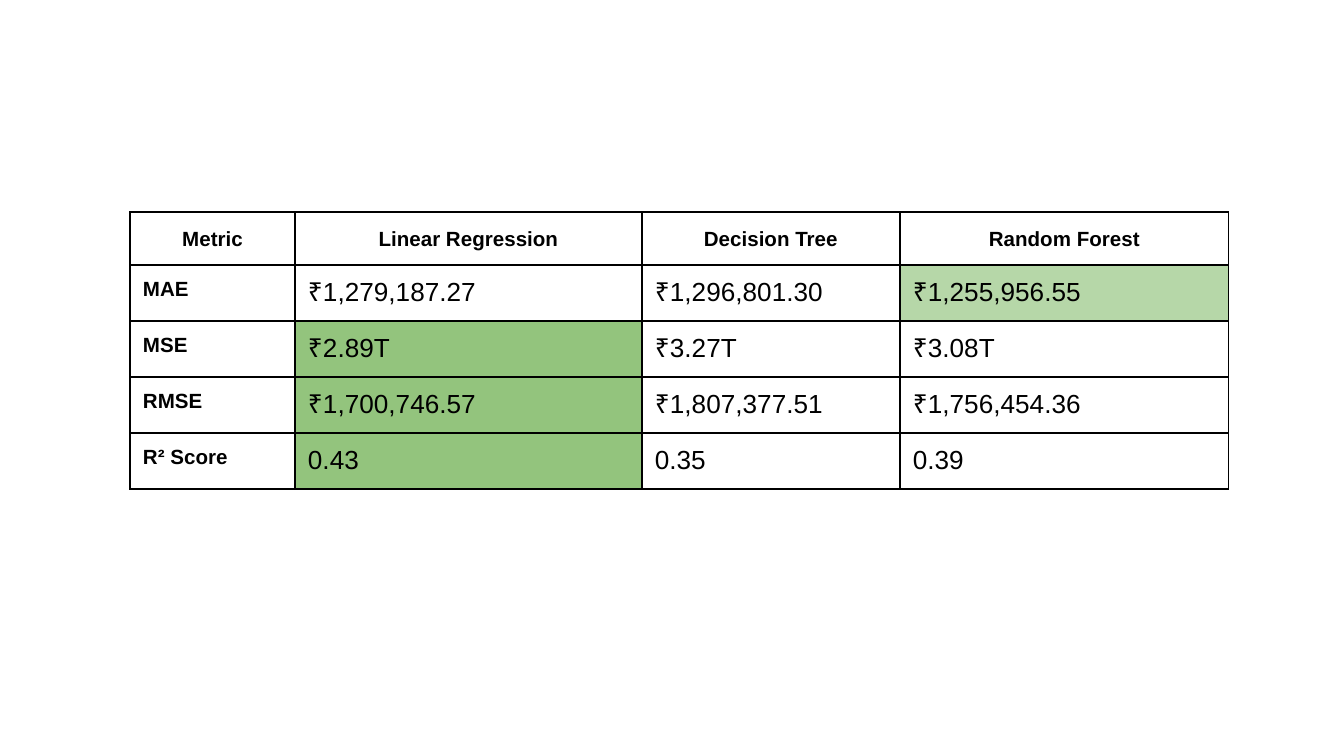
from lxml import etree
from pptx import Presentation
from pptx.dml.color import RGBColor
from pptx.enum.text import PP_ALIGN
from pptx.oxml.ns import qn
from pptx.util import Pt

CENTER, LEFT = PP_ALIGN.CENTER, PP_ALIGN.LEFT

SLIDE_WIDTH, SLIDE_HEIGHT = 1344, 756
EMU_PER_PX = 9144000 / SLIDE_WIDTH
BLANK_LAYOUT = 6

COLORS = {"ink": "000000", "best": "93C47D", "best_mae": "B6D7A8"}
FONT = "Arial"
CELL_MARGIN = 13
BORDER_WIDTH = Pt(0.75)

TABLE_LEFT, TABLE_TOP = 130, 212
COLUMN_WIDTHS = [165, 347, 258, 329]
ROW_HEIGHTS = [53, 56, 56, 56, 56]
METRICS = [
    ["Metric", "Linear Regression", "Decision Tree", "Random Forest"],
    ["MAE", "₹1,279,187.27", "₹1,296,801.30", "₹1,255,956.55"],
    ["MSE", "₹2.89T", "₹3.27T", "₹3.08T"],
    ["RMSE", "₹1,700,746.57", "₹1,807,377.51", "₹1,756,454.36"],
    ["R² Score", "0.43", "0.35", "0.39"],
]
# Best model for each metric, as (row, column)
HIGHLIGHTS = {(1, 3): "best_mae", (2, 1): "best", (3, 1): "best", (4, 1): "best"}


def px(length):
    return round(length * EMU_PER_PX)


def add_borders(cell):
    """Draw all four sides; called before the fill, which must follow them in the XML."""
    properties = cell._tc.get_or_add_tcPr()
    for side in ("a:lnL", "a:lnR", "a:lnT", "a:lnB"):
        line = etree.SubElement(properties, qn(side), w=str(BORDER_WIDTH))
        fill = etree.SubElement(line, qn("a:solidFill"))
        etree.SubElement(fill, qn("a:srgbClr"), val=COLORS["ink"])


def fill_cell(cell, color_name):
    if color_name:
        cell.fill.solid()
        cell.fill.fore_color.rgb = RGBColor.from_string(COLORS[color_name])
    else:
        cell.fill.background()


def write_cell(cell, text, is_header, is_label):
    cell.margin_left = cell.margin_right = px(CELL_MARGIN)
    cell.margin_top = cell.margin_bottom = px(CELL_MARGIN)
    paragraph = cell.text_frame.paragraphs[0]
    paragraph.text = text
    paragraph.alignment = CENTER if is_header else LEFT
    if is_header:
        paragraph.line_spacing = 1.15
    font = paragraph.runs[0].font
    font.name = FONT
    font.bold = is_header or is_label
    font.size = Pt(11 if font.bold else 14)
    font.color.rgb = RGBColor.from_string(COLORS["ink"])


def add_metrics_table(slide):
    table = slide.shapes.add_table(
        len(ROW_HEIGHTS), len(COLUMN_WIDTHS), px(TABLE_LEFT), px(TABLE_TOP),
        px(sum(COLUMN_WIDTHS)), px(sum(ROW_HEIGHTS)),
    ).table
    table.first_row = table.horz_banding = False
    for column, width in zip(table.columns, COLUMN_WIDTHS):
        column.width = px(width)
    for row, height in zip(table.rows, ROW_HEIGHTS):
        row.height = px(height)
    for row_index, texts in enumerate(METRICS):
        for column_index, text in enumerate(texts):
            cell = table.cell(row_index, column_index)
            add_borders(cell)
            fill_cell(cell, HIGHLIGHTS.get((row_index, column_index)))
            write_cell(cell, text, row_index == 0, column_index == 0)


def main():
    presentation = Presentation()
    presentation.slide_width = px(SLIDE_WIDTH)
    presentation.slide_height = px(SLIDE_HEIGHT)
    slide = presentation.slides.add_slide(presentation.slide_layouts[BLANK_LAYOUT])
    add_metrics_table(slide)
    presentation.save("out.pptx")


if __name__ == "__main__":
    main()
